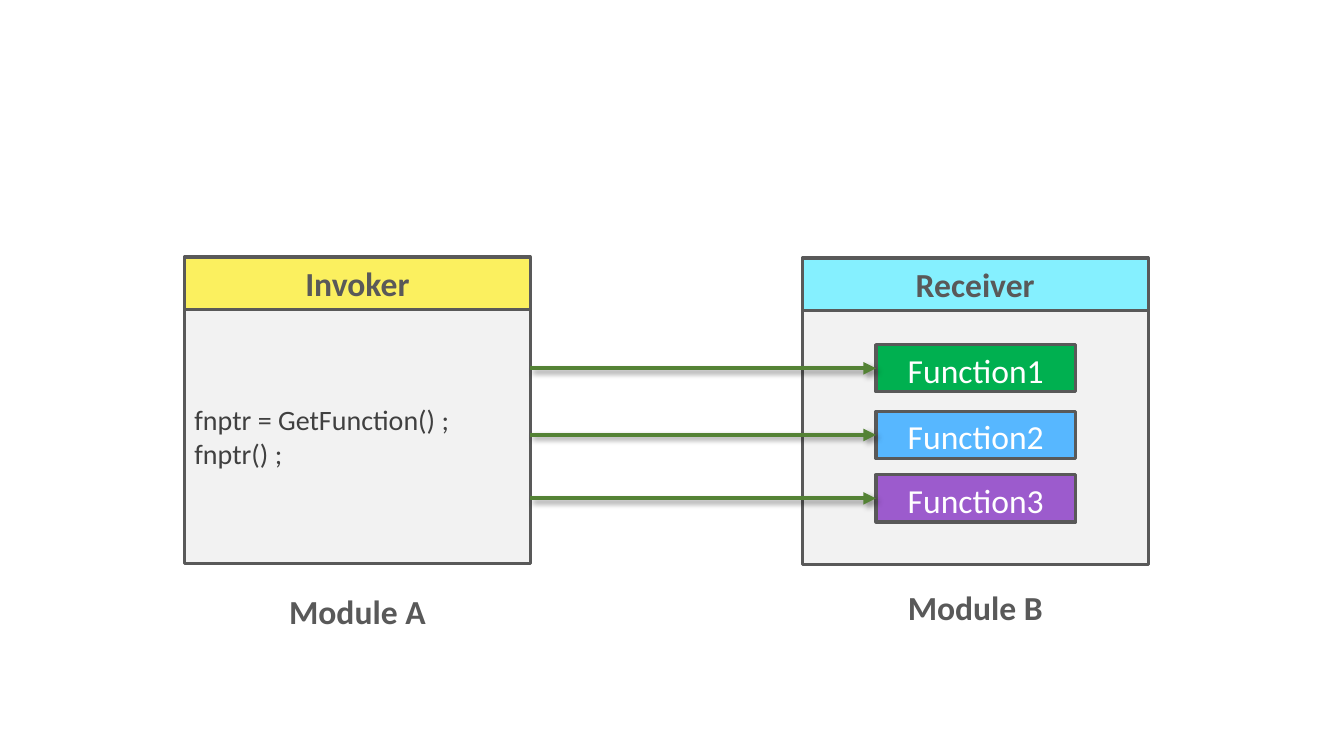
"""Build a slide showing an invoker calling functions of a receiver module."""
from lxml import etree
from pptx import Presentation
from pptx.dml.color import RGBColor
from pptx.enum.shapes import MSO_CONNECTOR, MSO_SHAPE
from pptx.enum.text import MSO_ANCHOR, PP_ALIGN
from pptx.oxml import parse_xml
from pptx.oxml.ns import nsdecls, qn
from pptx.util import Pt

STRAIGHT = MSO_CONNECTOR.STRAIGHT
RECTANGLE = MSO_SHAPE.RECTANGLE
TOP, MIDDLE = MSO_ANCHOR.TOP, MSO_ANCHOR.MIDDLE
LEFT, CENTER = PP_ALIGN.LEFT, PP_ALIGN.CENTER
LEFT_SIDE = 1

GREY = RGBColor(0x59, 0x59, 0x59)
CODE_GREY = RGBColor(0x40, 0x40, 0x40)
PANEL = RGBColor(0xF2, 0xF2, 0xF2)
WHITE = RGBColor(0xFF, 0xFF, 0xFF)
YELLOW = RGBColor(0xFB, 0xF0, 0x5F)
CYAN = RGBColor(0x85, 0xF0, 0xFF)
GREEN = RGBColor(0x00, 0xB0, 0x50)
BLUE = RGBColor(0x57, 0xB7, 0xFF)
PURPLE = RGBColor(0x9C, 0x5B, 0xCD)
ARROW_GREEN = RGBColor(0x54, 0x82, 0x35)

FONT = "Calibri"
MODULE_WIDTH, HEADER_HEIGHT, BODY_HEIGHT = 247, 37.4, 181.4
INVOKER_LEFT, INVOKER_TOP = 131.8, 183.6
RECEIVER_LEFT, RECEIVER_TOP = 573.1, 184.3
FUNCTION_LEFT, FUNCTION_WIDTH, FUNCTION_HEIGHT = 625.7, 142.6, 33.8
CAPTION_WIDTH, CAPTION_HEIGHT = 150.5, 36.4
FUNCTIONS = [
    ("Function1", 246.2, GREEN),
    ("Function2", 293.8, BLUE),
    ("Function3", 339.1, PURPLE),
]
ARROW_SHADOW = (
    f'<a:effectLst {nsdecls("a")}>'
    '<a:outerShdw blurRad="50800" dist="38100" dir="2700000" algn="tl" rotWithShape="0">'
    '<a:srgbClr val="000000"><a:alpha val="40000"/></a:srgbClr>'
    "</a:outerShdw></a:effectLst>"
)


def write_text(frame, text, color, size=24, bold=False, align=CENTER, anchor=MIDDLE):
    """Fill a text frame with uniformly formatted paragraphs."""
    frame.text = text
    frame.word_wrap = True
    frame.vertical_anchor = anchor
    for paragraph in frame.paragraphs:
        paragraph.alignment = align
        for run in paragraph.runs:
            run.font.name = FONT
            run.font.size = Pt(size)
            run.font.bold = bold
            run.font.color.rgb = color


def add_box(slide, left, top, width, height, fill):
    """Add a grey-outlined rectangle."""
    box = slide.shapes.add_shape(RECTANGLE, Pt(left), Pt(top), Pt(width), Pt(height))
    box.shadow.inherit = False
    box.fill.solid()
    box.fill.fore_color.rgb = fill
    box.line.color.rgb = GREY
    box.line.width = Pt(2.25)
    return box


def add_module(slide, title, left, top, header_fill):
    """Add a titled module and return its body."""
    header = add_box(slide, left, top, MODULE_WIDTH, HEADER_HEIGHT, header_fill)
    write_text(header.text_frame, title, GREY, bold=True)
    return add_box(slide, left, top + HEADER_HEIGHT, MODULE_WIDTH, BODY_HEIGHT, PANEL)


def add_function(slide, name, top, fill):
    """Add a function box inside the receiver."""
    function = add_box(slide, FUNCTION_LEFT, top, FUNCTION_WIDTH, FUNCTION_HEIGHT, fill)
    write_text(function.text_frame, name, WHITE, anchor=TOP)
    return function


def add_call_arrow(slide, function):
    """Add a level arrow from the invoker's edge to a function box."""
    middle = function.top + function.height // 2
    arrow = slide.shapes.add_connector(
        STRAIGHT, Pt(INVOKER_LEFT + MODULE_WIDTH), middle, function.left, middle)
    arrow.end_connect(function, LEFT_SIDE)
    arrow.line.color.rgb = ARROW_GREEN
    arrow.line.width = Pt(3)
    properties = arrow.element.spPr
    etree.SubElement(properties.find(qn("a:ln")), qn("a:tailEnd"), type="triangle")
    properties.append(parse_xml(ARROW_SHADOW))


def add_caption(slide, text, left, top):
    """Add a bold module caption."""
    caption = slide.shapes.add_textbox(
        Pt(left), Pt(top), Pt(CAPTION_WIDTH), Pt(CAPTION_HEIGHT))
    write_text(caption.text_frame, text, GREY, bold=True, anchor=TOP)


def main():
    """Build and save the slide."""
    presentation = Presentation()
    presentation.slide_width, presentation.slide_height = Pt(960), Pt(540)
    slide = presentation.slides.add_slide(presentation.slide_layouts[6])

    add_module(slide, "Receiver", RECEIVER_LEFT, RECEIVER_TOP, CYAN)
    invoker_body = add_module(slide, "Invoker", INVOKER_LEFT, INVOKER_TOP, YELLOW)
    write_text(invoker_body.text_frame, "fnptr = GetFunction() ;\nfnptr() ;",
               CODE_GREY, size=20, align=LEFT)

    functions = [add_function(slide, *function) for function in FUNCTIONS]
    for function in functions:
        add_call_arrow(slide, function)

    add_caption(slide, "Module A", 180, 418.3)
    add_caption(slide, "Module B", 621.4, 415.4)
    presentation.save("out.pptx")


if __name__ == "__main__":
    main()
